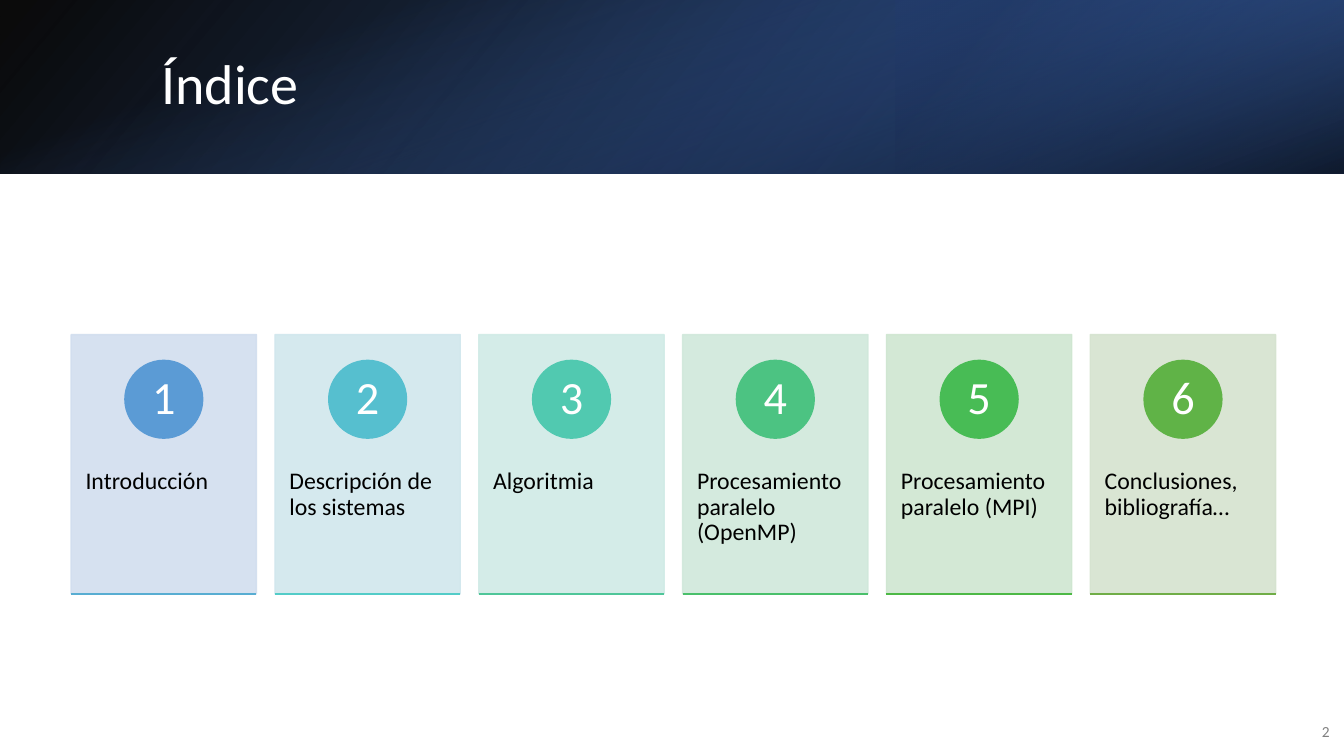
from lxml import etree
from pptx import Presentation
from pptx.dml.color import RGBColor
from pptx.enum.shapes import MSO_CONNECTOR, MSO_SHAPE
from pptx.enum.text import MSO_ANCHOR, MSO_AUTO_SIZE, PP_ALIGN
from pptx.oxml import parse_xml
from pptx.oxml.ns import nsdecls, qn
from pptx.util import Pt

RECTANGLE, OVAL = MSO_SHAPE.RECTANGLE, MSO_SHAPE.OVAL
STRAIGHT = MSO_CONNECTOR.STRAIGHT
LEFT, CENTER, RIGHT, JUSTIFY = PP_ALIGN.LEFT, PP_ALIGN.CENTER, PP_ALIGN.RIGHT, PP_ALIGN.JUSTIFY
TOP, MIDDLE = MSO_ANCHOR.TOP, MSO_ANCHOR.MIDDLE
NO_AUTOFIT = MSO_AUTO_SIZE.NONE

WHITE = RGBColor(0xFF, 0xFF, 0xFF)
BLACK = RGBColor(0x00, 0x00, 0x00)
GRAY = RGBColor(0x80, 0x80, 0x80)
NAVY = RGBColor(0x20, 0x38, 0x64)
DARK_BLUE = RGBColor(0x2F, 0x55, 0x97)
BLUE = RGBColor(0x44, 0x72, 0xC4)
CARD_COLORS = [RGBColor(0xD2, 0xDE, 0xEF), RGBColor(0xD1, 0xE7, 0xED),
               RGBColor(0xD0, 0xEB, 0xE6), RGBColor(0xD0, 0xE8, 0xDB),
               RGBColor(0xCF, 0xE6, 0xD1), RGBColor(0xD5, 0xE3, 0xCF)]
BADGE_COLORS = [RGBColor(0x5B, 0x9B, 0xD5), RGBColor(0x56, 0xBF, 0xCF),
                RGBColor(0x51, 0xC9, 0xB0), RGBColor(0x4C, 0xC3, 0x82),
                RGBColor(0x48, 0xBC, 0x55), RGBColor(0x60, 0xB3, 0x47)]
BASELINE_COLORS = [RGBColor(0x58, 0xAD, 0xD2), RGBColor(0x53, 0xCC, 0xC8),
                   RGBColor(0x4F, 0xC6, 0x99), RGBColor(0x4A, 0xC0, 0x6B),
                   RGBColor(0x4D, 0xB9, 0x46), RGBColor(0x70, 0xAD, 0x47)]

SLIDE_W, SLIDE_H = 960, 540
HEADER_H = 124


def write(holder, text, size, color, align=LEFT, anchor=MIDDLE,
          insets=(7.2, 3.6), line_spacing=0.9):
    """Fill a shape with one paragraph; insets are (sides, top and bottom)."""
    frame = holder.text_frame
    frame.word_wrap = True
    frame.auto_size = NO_AUTOFIT
    frame.vertical_anchor = anchor
    frame.margin_left = frame.margin_right = Pt(insets[0])
    frame.margin_top = frame.margin_bottom = Pt(insets[1])
    paragraph = frame.paragraphs[0]
    paragraph.alignment = align
    paragraph.line_spacing = line_spacing
    run = paragraph.add_run()
    run.text = text
    run.font.name = "Calibri"
    run.font.size = Pt(size)
    run.font.color.rgb = color


def add_block(preset, left, top, width, height, color=None):
    block = slide.shapes.add_shape(preset, Pt(left), Pt(top), Pt(width), Pt(height))
    block.shadow.inherit = False
    if color is None:
        block.line.fill.background()
    else:
        block.fill.solid()
        block.fill.fore_color.rgb = color
        block.line.color.rgb = color
        block.line.width = Pt(1)
    return block


prs = Presentation()
prs.slide_width, prs.slide_height = Pt(SLIDE_W), Pt(SLIDE_H)
slide = prs.slides.add_slide(prs.slide_layouts[5])

# Header: three gradient layers; each stop is (position, colour, opacity) in percent
turned_offset = (SLIDE_W - HEADER_H) / 2
header_layers = [
    ((0, 0, SLIDE_W, HEADER_H), 0, True, 140, [(0, BLACK, 96), (100, DARK_BLUE, 100)]),
    ((640, 0, 320, HEADER_H), 180, True, 320, [(19, NAVY, 68), (100, BLUE, 79)]),
    ((turned_offset, -turned_offset, HEADER_H, SLIDE_W), 90, False, 340,
     [(23, BLUE, 0), (99, BLACK, 74)]),
]
for bounds, rotation, flipped, angle, stops in header_layers:
    layer = add_block(RECTANGLE, *bounds)
    layer.rotation = rotation
    properties = layer._element.spPr
    if flipped:
        properties.find(qn("a:xfrm")).set("flipH", "1")
    stop_xml = "".join(
        f'<a:gs pos="{position * 1000}"><a:srgbClr val="{color}">'
        f'<a:alpha val="{opacity * 1000}"/></a:srgbClr></a:gs>'
        for position, color, opacity in stops)
    properties.find(qn("a:prstGeom")).addnext(parse_xml(
        f'<a:gradFill {nsdecls("a")} rotWithShape="1"><a:gsLst>{stop_xml}</a:gsLst>'
        f'<a:lin ang="{angle * 60000}" scaled="0"/></a:gradFill>'))

title = slide.shapes.title
title.left, title.top, title.width, title.height = Pt(108), Pt(27.4), Pt(790.6), Pt(69)
write(title, "Índice", 40, WHITE)
slide.shapes._spTree.append(title._element)  # in front of the header layers

page_number = slide.shapes.add_textbox(Pt(921.6), Pt(508.3), Pt(35.3), Pt(28.8))
write(page_number, "2", 11, GRAY, align=RIGHT, line_spacing=1)

# Numbered topic cards
topics = ["Introducción", "Descripción de los sistemas", "Algoritmia",
          "Procesamiento paralelo (OpenMP)", "Procesamiento paralelo (MPI)",
          "Conclusiones, bibliografía…"]
CARD_LEFT, CARD_TOP, CARD_W, CARD_H = 50.8, 239, 132.4, 185.2
CARD_PITCH = 145.6
BADGE_TOP, BADGE_SIZE = 257.4, 55.6

for index, topic in enumerate(topics):
    left = CARD_LEFT + index * CARD_PITCH
    card = add_block(RECTANGLE, left, CARD_TOP, CARD_W, CARD_H, CARD_COLORS[index])
    for card_color in card._element.spPr.iter(qn("a:srgbClr")):
        etree.SubElement(card_color, qn("a:alpha")).set("val", "90000")
    write(card, topic, 17, BLACK, align=JUSTIFY if "OpenMP" in topic else LEFT,
          anchor=TOP, insets=(10.3, 0))
    card.text_frame.margin_top = Pt(96)

    badge = add_block(OVAL, left + (CARD_W - BADGE_SIZE) / 2, BADGE_TOP,
                      BADGE_SIZE, BADGE_SIZE, BADGE_COLORS[index])
    write(badge, str(index + 1), 33, WHITE, align=CENTER, insets=(4.3, 0.7))

    bottom = Pt(CARD_TOP + CARD_H)
    baseline = slide.shapes.add_connector(STRAIGHT, Pt(left), bottom,
                                          Pt(left + CARD_W), bottom)
    baseline.line.color.rgb = BASELINE_COLORS[index]
    baseline.line.width = Pt(1)
    etree.SubElement(baseline._element.spPr, qn("a:effectLst"))

prs.save("out.pptx")
